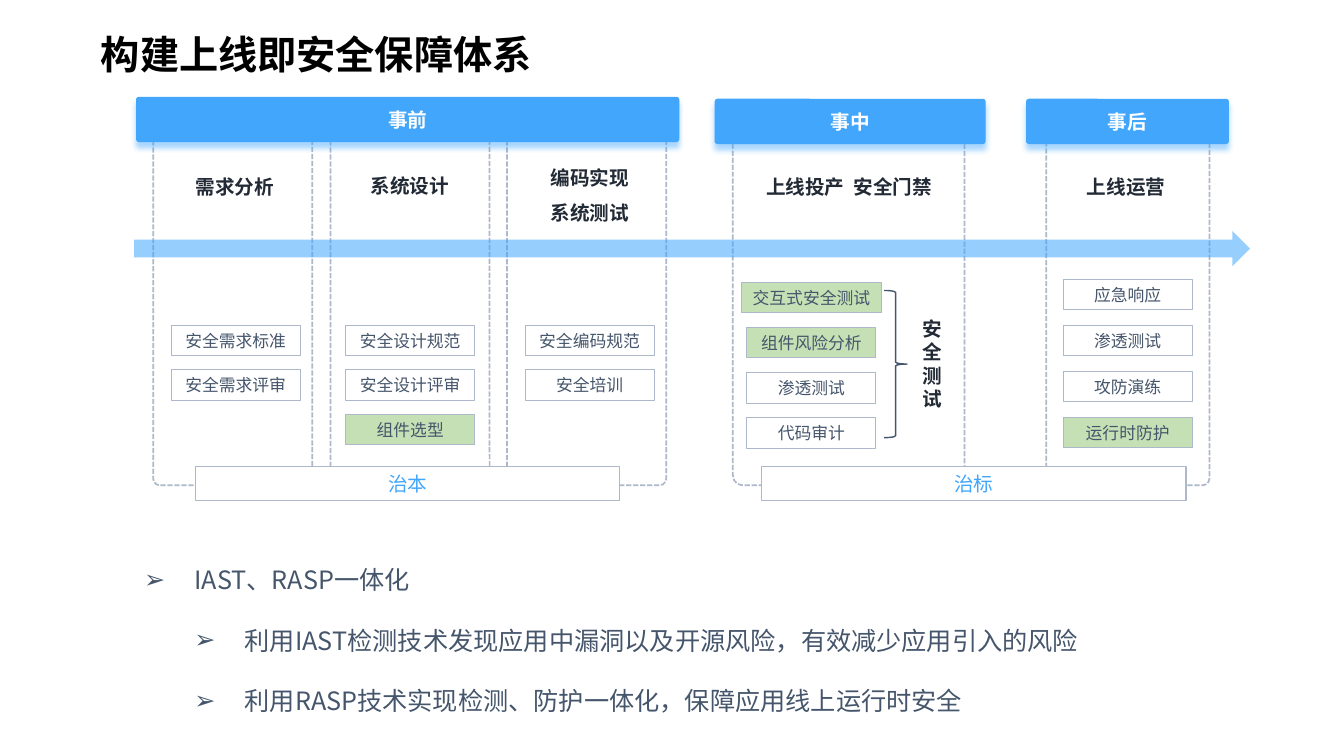
from lxml import etree
from pptx import Presentation
from pptx.dml.color import RGBColor
from pptx.enum import dml, shapes, text
from pptx.oxml import ns
from pptx.util import Cm, Pt

TITLE = "构建上线即安全保障体系"
PHASES = [
    ("事前", 3.43, 2.44, 13.69),
    ("事中", 18.01, 2.49, 6.83),
    ("事后", 25.86, 2.49, 5.11),
]
# Stage: heading lines, heading top, heading middle, frame left, frame width,
# then middle, top and pitch of its activities.
STAGES = [
    (["需求分析"], 3.99, 5.92, 3.86, 4.01, 5.94, 8.20, 1.12,
     ["安全需求标准", "安全需求评审"]),
    (["系统设计"], 3.96, 10.33, 8.33, 4.01, 10.34, 8.20, 1.12,
     ["安全设计规范", "安全设计评审", "组件选型"]),
    (["编码实现", "系统测试"], 3.76, 14.87, 12.78, 4.01, 14.86, 8.20, 1.12,
     ["安全编码规范", "安全培训"]),
    (["上线投产  安全门禁"], 3.99, 21.40, 18.47, 5.84, 20.45, 7.11, 1.14,
     ["交互式安全测试", "组件风险分析", "渗透测试", "代码审计"]),
    (["上线运营"], 3.99, 28.38, 26.37, 4.11, 28.42, 7.04, 1.16,
     ["应急响应", "渗透测试", "攻防演练", "运行时防护"]),
]
HIGHLIGHTED = {"组件选型", "交互式安全测试", "组件风险分析", "运行时防护"}
GOALS = [("治本", 4.93), ("治标", 19.20)]
TESTING = "安全测试"
POINTS = [
    (0, "IAST、RASP一体化"),
    (1, "利用IAST检测技术发现应用中漏洞以及开源风险，有效减少应用引入的风险"),
    (1, "利用RASP技术实现检测、防护一体化，保障应用线上运行时安全"),
]

CJK, LATIN = "Noto Sans CJK SC", "Arial"
BLACK = RGBColor(0x00, 0x00, 0x00)
WHITE = RGBColor(0xFF, 0xFF, 0xFF)
BLUE = RGBColor(0x41, 0xA6, 0xFC)
GREEN = RGBColor(0xC5, 0xE0, 0xB4)
BORDER = RGBColor(0xAD, 0xB9, 0xCA)
SLATE = RGBColor(0x45, 0x55, 0x6B)
DARK = RGBColor(0x22, 0x2A, 0x35)


def style(paragraph, size, color, name=CJK, bold=False):
    """Set the font of a paragraph, East Asian face included."""
    font = paragraph.font
    font.size, font.bold, font.name = Pt(size), bold, name
    font.color.rgb = color
    properties = paragraph._p.pPr.find(ns.qn("a:defRPr"))
    etree.SubElement(properties, ns.qn("a:ea"), typeface=CJK)


def add_shape(slide, kind, box, fill=None, line=None, width=0.75):
    """Add a flat shape at a box given in centimetres."""
    shape = slide.shapes.add_shape(kind, *map(Cm, box))
    shape.shadow.inherit = False
    if fill is None:
        shape.fill.background()
    else:
        shape.fill.solid()
        shape.fill.fore_color.rgb = fill
    if line is None:
        shape.line.fill.background()
    else:
        shape.line.color.rgb = line
        shape.line.width = Pt(width)
    return shape


def write(shape, lines, size, color, name=CJK, bold=False, spacing=None, margin=0.1):
    """Write centred lines into a shape."""
    frame = shape.text_frame
    frame.word_wrap = True
    frame.margin_left = frame.margin_right = Cm(margin)
    frame.text = "\n".join(lines)
    for paragraph in frame.paragraphs:
        paragraph.alignment = text.PP_ALIGN.CENTER
        if spacing:
            paragraph.line_spacing = spacing
        style(paragraph, size, color, name, bold)
    return frame


def add_box(slide, label, box, fill, size, color):
    """Add a bordered box with a centred label."""
    shape = add_shape(slide, shapes.MSO_SHAPE.RECTANGLE, box, fill, BORDER)
    frame = write(shape, [label], size, color, LATIN)
    frame.margin_top = frame.margin_bottom = 0
    frame.vertical_anchor = text.MSO_ANCHOR.MIDDLE


def add_heading(slide, lines, box, spacing=None, margin=0.1):
    """Add a bold dark heading."""
    heading = slide.shapes.add_textbox(*map(Cm, box))
    write(heading, lines, 14, DARK, bold=True, spacing=spacing, margin=margin)


def add_title(slide):
    """Fill and place the title."""
    title = slide.shapes.title
    title.left, title.top, title.width, title.height = map(Cm, (2.29, 0.64, 24.08, 1.45))
    frame = title.text_frame
    frame.text = TITLE
    frame.auto_size = text.MSO_AUTO_SIZE.NONE
    frame.vertical_anchor = text.MSO_ANCHOR.TOP
    frame.paragraphs[0].alignment = text.PP_ALIGN.LEFT
    style(frame.paragraphs[0], 28, BLACK, bold=True)


def add_phase(slide, label, left, top, width):
    """Add a phase banner with a soft blue glow below."""
    banner = add_shape(slide, shapes.MSO_SHAPE.ROUNDED_RECTANGLE,
                       (left, top, width, 1.14), BLUE)
    banner.adjustments[0] = 0.064
    effects = banner._element.spPr.find(ns.qn("a:effectLst"))
    glow = etree.SubElement(effects, ns.qn("a:outerShdw"), blurRad=str(Pt(4)),
                            dist=str(Pt(4)), dir="5400000", rotWithShape="0")
    tint = etree.SubElement(glow, ns.qn("a:srgbClr"), val=str(BLUE))
    etree.SubElement(tint, ns.qn("a:alpha"), val="46000")
    frame = write(banner, [label], 14, WHITE, bold=True)
    frame.margin_top = frame.margin_bottom = 0
    frame.vertical_anchor = text.MSO_ANCHOR.MIDDLE


def add_points(slide):
    """Add the bulleted conclusions."""
    frame = slide.shapes.add_textbox(Cm(3.38), Cm(13.34), Cm(30), Cm(4.88)).text_frame
    frame.word_wrap = True
    frame.text = "\n".join(point for _, point in POINTS)
    for paragraph, (level, _) in zip(frame.paragraphs, POINTS):
        paragraph.level = level
        paragraph.line_spacing = 2.0
        properties = paragraph._p.get_or_add_pPr()
        properties.set("marL", str(Cm(1.27 * (level + 1))))
        properties.set("indent", str(Cm(-1.27)))
        etree.SubElement(properties, ns.qn("a:buFont"), typeface="Arial")
        etree.SubElement(properties, ns.qn("a:buChar"), char="➢")
        style(paragraph, 18, SLATE)


def main():
    """Build the slide and save it."""
    deck = Presentation()
    deck.slide_width, deck.slide_height = Cm(33.87), Cm(19.05)
    slide = deck.slides.add_slide(deck.slide_layouts[5])
    add_title(slide)

    for lines, top, middle, left, width, center, first, pitch, activities in STAGES:
        frame = add_shape(slide, shapes.MSO_SHAPE.ROUNDED_RECTANGLE,
                          (left, 3.33, width, 8.9), WHITE, BORDER, 1.25)
        frame.adjustments[0] = 0.042
        frame.line.dash_style = dml.MSO_LINE.SQUARE_DOT
        add_heading(slide, lines, (middle - 2.68, top, 5.36, 1.04 * len(lines)), 1.5)
        for row, activity in enumerate(activities):
            breadth = 3.53 if len(activity) > 6 else 3.25
            add_box(slide, activity,
                    (center - breadth / 2, first + row * pitch, breadth, 0.77),
                    GREEN if activity in HIGHLIGHTED else WHITE, 12, SLATE)

    for phase in PHASES:
        add_phase(slide, *phase)
    add_shape(slide, shapes.MSO_SHAPE.RIGHT_BRACE, (22.28, 7.32, 0.58, 3.71), None, SLATE, 1)
    add_heading(slide, [TESTING], (23.11, 7.85, 0.79, 2.64), margin=0)

    timeline = add_shape(slide, shapes.MSO_SHAPE.RIGHT_ARROW, (3.38, 5.82, 28.12, 0.89), BLUE)
    tint = timeline._element.spPr.find(ns.qn("a:solidFill"))[0]
    etree.SubElement(tint, ns.qn("a:alpha"), val="55000")
    for goal, left in GOALS:
        add_box(slide, goal, (left, 11.76, 10.69, 0.86), WHITE, 14, BLUE)
    add_points(slide)
    deck.save("out.pptx")


if __name__ == "__main__":
    main()
